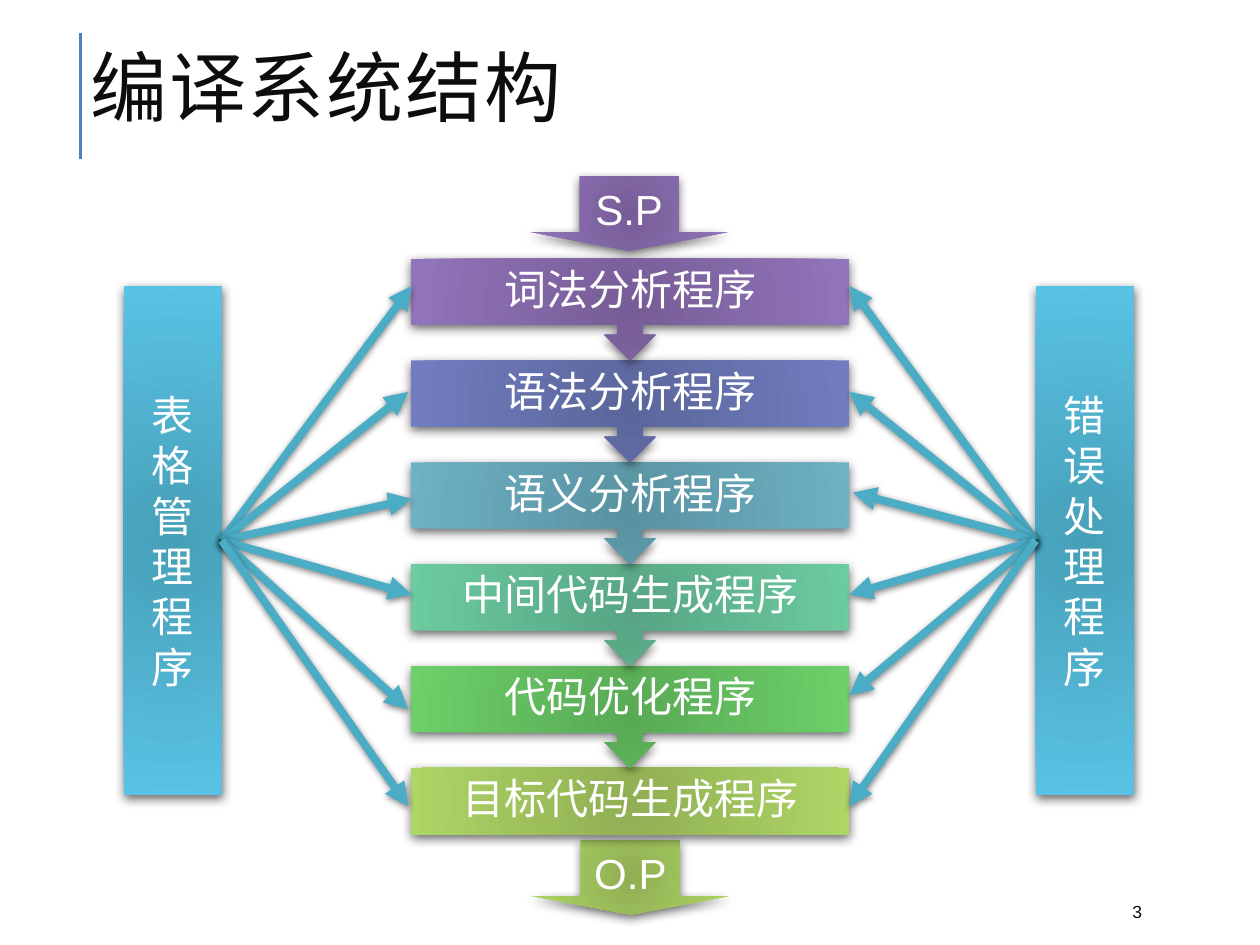
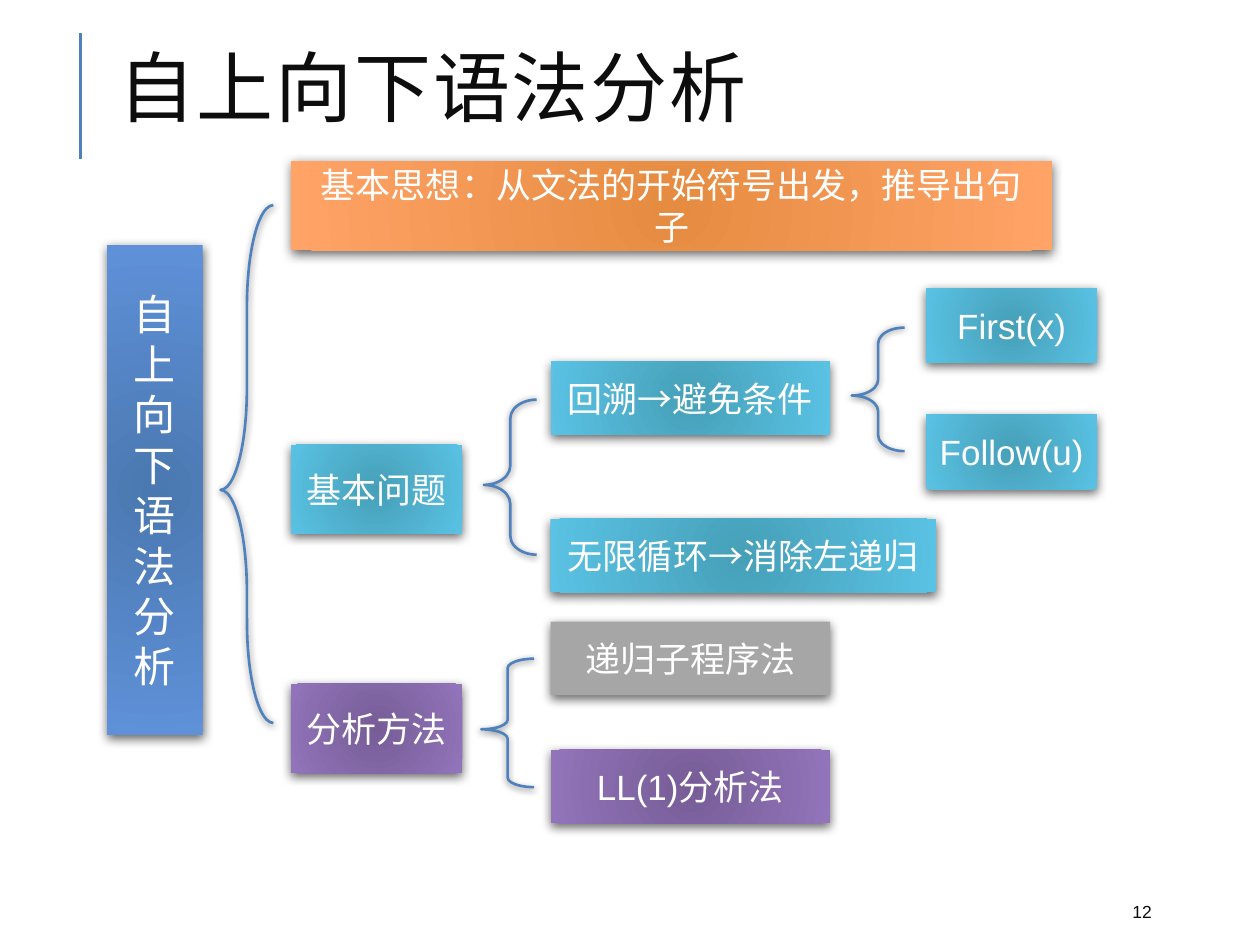
from dataclasses import dataclass

from lxml.etree import SubElement
from pptx import Presentation
from pptx.dml.color import RGBColor as RGB
from pptx.enum.shapes import MSO_CONNECTOR as CONN, MSO_SHAPE as SHAPE
from pptx.enum.text import MSO_ANCHOR as ANCHOR, PP_ALIGN as ALIGN
from pptx.oxml.ns import qn
from pptx.util import Pt


@dataclass(frozen=True)
class Theme:
    latin: str = "Arial"
    east_asian: str = "Noto Sans CJK SC"
    title_size: int = 44
    label_size: int = 24
    node_size: int = 20
    number_size: int = 10
    ink: str = "0D0D0D"
    white: str = "FFFFFF"
    rule: str = "4F81BD"
    arrow: str = "4BACC6"
    # Fills run from the centre colour to the edge colour.
    purple: tuple = ("775D97", "9274BA")
    indigo: tuple = ("5B669C", "717DC0")
    teal: tuple = ("5992A1", "6EB2C5")
    mint: tuple = ("57A584", "6CCB9F")
    green: tuple = ("59AA55", "6DD069")
    lime: tuple = ("90AE53", "AED666")
    cyan: tuple = ("46A0B8", "5AC2E4")
    blue: tuple = ("4A78B0", "5F91D9")
    orange: tuple = ("E68C41", "FFA367")
    grey: tuple = ("A6A6A6",)
    block_shadow: tuple = (60, 6, 2)
    line_shadow: tuple = (50, 4, 1)


T = Theme()


def add_shadow(sp, opacity, blur, distance):
    """Cast a black shadow straight down; blur and distance are in points."""
    spPr = sp._element.spPr
    effects = spPr.find(qn("a:effectLst"))
    if effects is None:
        effects = SubElement(spPr, qn("a:effectLst"))
    shadow = SubElement(effects, qn("a:outerShdw"), blurRad=str(Pt(blur)),
                        dist=str(Pt(distance)), dir="5400000", rotWithShape="0")
    color = SubElement(shadow, qn("a:srgbClr"), val="000000")
    SubElement(color, qn("a:alpha"), val=str(opacity * 1000))


def add_text_shape(s, at, text, size, kind=None, fill=None, wrap=True):
    """Add a filled, shadowed shape with white centred text, or a plain text box if kind is None."""
    at = [Pt(v) for v in at]
    if kind is None:
        sp = s.shapes.add_textbox(*at)
    else:
        sp = s.shapes.add_shape(kind, *at)
        sp.line.fill.background()
        sp.shadow.inherit = False
        add_shadow(sp, *T.block_shadow)
        if len(fill) == 1:
            sp.fill.solid()
            sp.fill.fore_color.rgb = RGB.from_string(fill[0])
        else:
            sp.fill.gradient()
            for stop, color in zip(sp.fill.gradient_stops, fill):
                stop.color.rgb = RGB.from_string(color)
            grad = sp._element.spPr.find(qn("a:gradFill"))
            grad.remove(grad.find(qn("a:lin")))
            circle = SubElement(grad, qn("a:path"), path="circle")
            SubElement(circle, qn("a:fillToRect"), l="100000", t="100000", r="100000", b="100000")
    tf = sp.text_frame
    tf.text = text
    tf.word_wrap = wrap
    tf.vertical_anchor = ANCHOR.MIDDLE
    for p in tf.paragraphs:
        p.alignment = ALIGN.CENTER if kind else ALIGN.LEFT
        for r in p.runs:
            r.font.name = T.latin
            r.font.size = Pt(size)
            r.font.color.rgb = RGB.from_string(T.white if kind else T.ink)
            SubElement(r.font._element, qn("a:ea"), typeface=T.east_asian)
    return sp


prs = Presentation()
prs.slide_width, prs.slide_height = Pt(720), Pt(540)

# Title, rule and page number on every slide
slides = []
for title, left, width, number in (("编译系统结构", 44.6, 675.4, "3"),
                                   ("自上向下语法分析", 60.5, 612, "12")):
    s = prs.slides.add_slide(prs.slide_layouts[6])
    rule = s.shapes.add_connector(CONN.STRAIGHT, Pt(46), Pt(91), Pt(46), Pt(19))
    rule.line.color.rgb = RGB.from_string(T.rule)
    rule.line.width = Pt(1.5)
    SubElement(rule._element.spPr, qn("a:effectLst"))
    heading = add_text_shape(s, (left, 18.7, width, 70.6), title, T.title_size)
    p = heading.text_frame.paragraphs[0]
    p.line_spacing = 0.8
    p.runs[0].font._element.set("spc", "100")
    add_text_shape(s, (640, 509.8, 57.6, 21.6), number, T.number_size)
    slides.append(s)
structure, top_down = slides

# Slide 1: source and object program arrows
for text, left, top, fill in (("S.P", 303.1, 100.8, T.purple), ("O.P", 303.8, 480.2, T.lime)):
    sp = add_text_shape(structure, (left, top, 113, 42.5), text, T.label_size,
                        SHAPE.DOWN_ARROW, fill, wrap=False)
    sp.adjustments[1] = 0.25

# Slide 1: compiler stages, last one first so that each arrow lies over the next stage
stages = (("词法分析程序", T.purple), ("语法分析程序", T.indigo), ("语义分析程序", T.teal),
          ("中间代码生成程序", T.mint), ("代码优化程序", T.green), ("目标代码生成程序", T.lime))
stage_top, stage_pitch, stage_height = 147.8, 58.2, 38.2
for i, (text, fill) in reversed(list(enumerate(stages))):
    last = i == len(stages) - 1
    sp = add_text_shape(structure, (234.7, stage_top + i * stage_pitch, 250.6,
                                    stage_height if last else stage_pitch),
                        text, T.label_size, SHAPE.RECTANGLE if last else SHAPE.DOWN_ARROW_CALLOUT, fill)
    sp.text_frame.margin_top = sp.text_frame.margin_bottom = 0
    sp.text_frame.paragraphs[0].line_spacing = 0.9

# Slide 1: side programs, each with arrows to all stages
sides = (
    ("表格管理程序", 70.6, 126.7, ((235.4, 163.4), (233.3, 223.9), (235.4, 285.1),
                             (235.4, 339.8), (233.3, 405.4), (233.3, 460.8))),
    ("错误处理程序", 591.8, 591.8, ((485.3, 163.4), (485.3, 223.9), (487.4, 281.5),
                              (485.3, 339.8), (485.3, 397.4), (485.3, 460.8))),
)
for text, left, start, targets in sides:
    add_text_shape(structure, (left, 163.4, 56.2, 290.9), "\n".join(text), T.label_size,
                   SHAPE.RECTANGLE, T.cyan, wrap=False)
    for x, y in targets:
        arrow = structure.shapes.add_connector(CONN.STRAIGHT, Pt(start), Pt(308.9), Pt(x), Pt(y))
        arrow.line.color.rgb = RGB.from_string(T.arrow)
        arrow.line.width = Pt(4.5)
        SubElement(arrow.line._get_or_add_ln(), qn("a:tailEnd"), type="triangle")
        add_shadow(arrow, *T.line_shadow)

# Slide 2: topic tree
add_text_shape(top_down, (61.2, 139.9, 54.7, 280), "自上向下语法分析", T.label_size,
               SHAPE.RECTANGLE, T.blue)
nodes = (
    ("基本思想：从文法的开始符号出发，推导出句子", 166.3, 92, 434.9, 51.1, T.orange),
    ("基本问题", 166.3, 254, 97.9, 51.1, T.cyan),
    ("分析方法", 166.3, 390.7, 97.9, 51.1, T.purple),
    ("回溯→避免条件", 314.6, 206.5, 159.8, 42, T.cyan),
    ("无限循环→消除左递归", 314.6, 296.5, 220.3, 42, T.cyan),
    ("递归子程序法", 314.6, 355.2, 159.8, 42, T.grey),
    ("LL(1)分析法", 314.6, 428.5, 159.8, 42, T.purple),
    ("First(x)", 529.2, 164.6, 97.9, 42.8, T.cyan),
    ("Follow(u)", 529.2, 236.8, 97.9, 42.8, T.cyan),
)
for text, left, top, width, height, fill in nodes:
    add_text_shape(top_down, (left, top, width, height), text, T.node_size, SHAPE.RECTANGLE, fill)

for left, top, height, curl in ((126, 117.2, 295.9, 1.925), (276.5, 228.4, 88.6, 0.359),
                                (486.7, 187.2, 70.6, 0.3), (275, 376.4, 73.4, 0.18)):
    brace = top_down.shapes.add_shape(SHAPE.LEFT_BRACE, Pt(left), Pt(top), Pt(30.2), Pt(height))
    brace.adjustments[0], brace.adjustments[1] = curl, 0.55
    brace.fill.background()
    brace.line.color.rgb = RGB.from_string(T.rule)
    brace.line.width = Pt(1.5)
    brace.shadow.inherit = False
    add_shadow(brace, *T.line_shadow)

prs.save("out.pptx")
